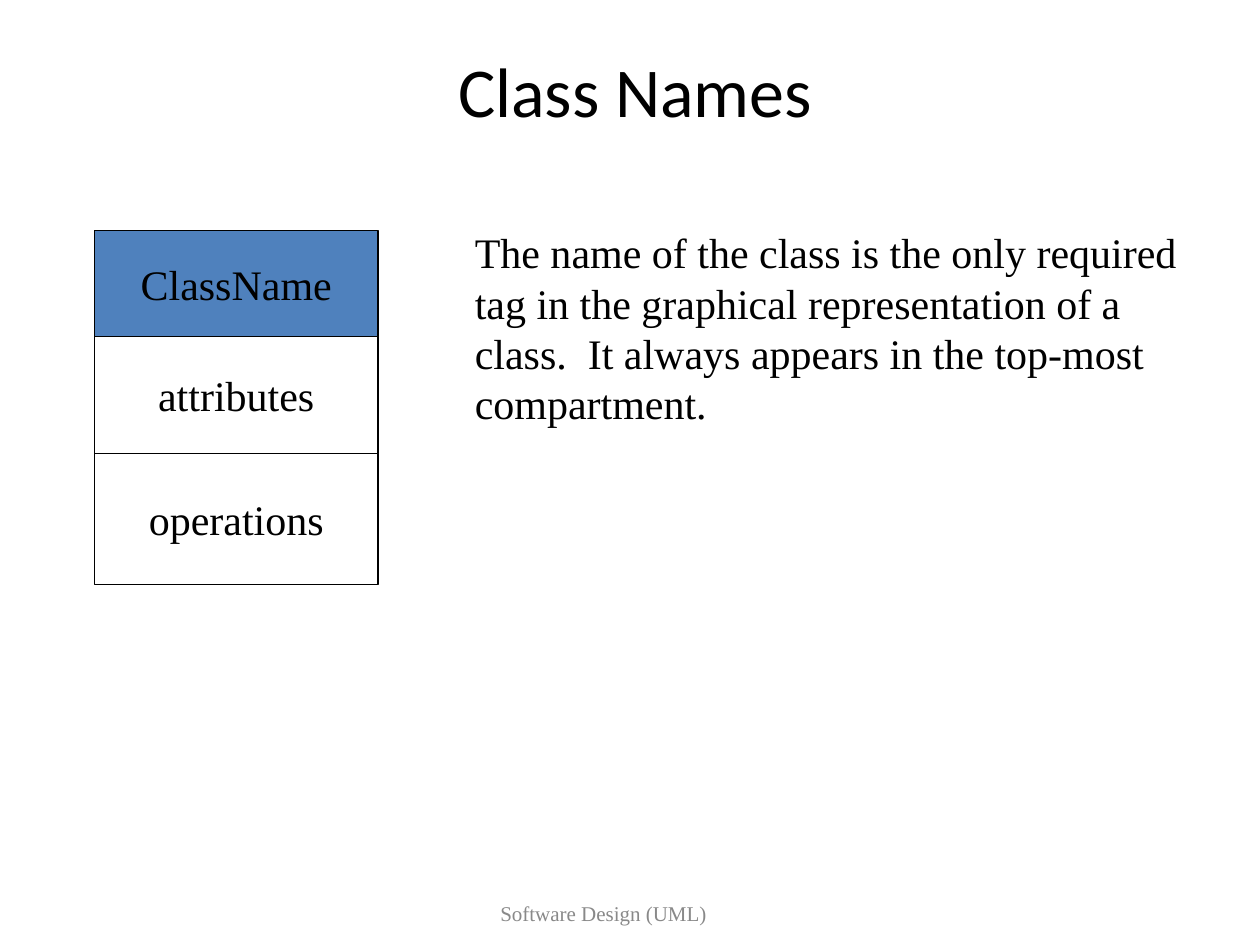
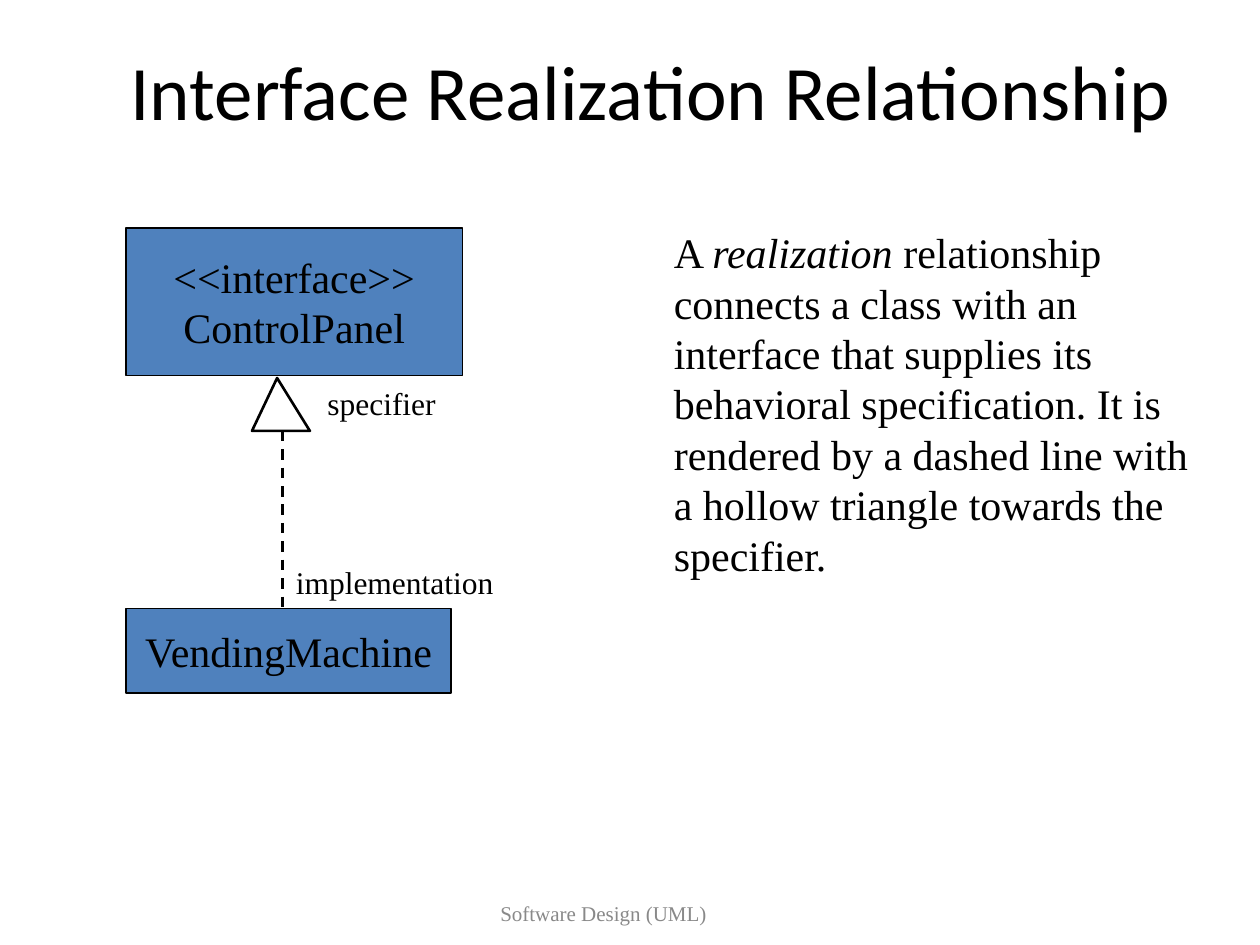
from typing import NamedTuple

from lxml.etree import SubElement
from pptx import Presentation
from pptx.dml.color import RGBColor
from pptx.enum.dml import MSO_LINE
from pptx.enum.shapes import MSO_CONNECTOR, MSO_SHAPE
from pptx.enum.text import MSO_ANCHOR, MSO_AUTO_SIZE, PP_ALIGN
from pptx.oxml.ns import qn
from pptx.util import Inches, Pt

BLACK = "000000"
WHITE = "FFFFFF"
BLUE = "4F81BD"
GREY = "898989"
TITLE_FONT = "Calibri"
BODY_FONT = "Times New Roman"
TITLE_ONLY = 5


class Area(NamedTuple):
    """Left, top, width and height in inches."""
    left: float
    top: float
    width: float
    height: float

    def lengths(self) -> list:
        return [Inches(value) for value in self]


class Span(NamedTuple):
    text: str
    italic: bool = False


class ClassBox(NamedTuple):
    area: Area
    lines: list[str]
    fill: str = BLUE


FOOTER_AREA = Area(2.58, 7, 4.42, 0.5)


def colour(value: str) -> RGBColor:
    return RGBColor.from_string(value)


def write(frame, paragraphs, size=24, font=BODY_FONT, ink=BLACK,
          align=PP_ALIGN.LEFT, anchor=MSO_ANCHOR.TOP, wrap=True, inset=True) -> None:
    """Fill a text frame; each paragraph is a string or a list of spans."""
    frame.auto_size = MSO_AUTO_SIZE.NONE
    frame.word_wrap = wrap
    frame.vertical_anchor = anchor
    frame.margin_left = frame.margin_right = Inches(0.1 if inset else 0)
    frame.margin_top = frame.margin_bottom = Inches(0.05 if inset else 0)
    for index, content in enumerate(paragraphs):
        para = frame.add_paragraph() if index else frame.paragraphs[0]
        para.alignment = align
        for span in [Span(content)] if isinstance(content, str) else content:
            run = para.add_run()
            run.text = span.text
            run.font.size = Pt(size)
            run.font.name = font
            run.font.italic = span.italic
            run.font.color.rgb = colour(ink)


def add_text(page, area: Area, paragraphs, **style) -> None:
    box = page.shapes.add_textbox(*area.lengths())
    write(box.text_frame, paragraphs, **style)


def add_page(deck, title: str, title_width: float, title_size: int):
    """Add a slide with its title and the shared footer."""
    page = deck.slides.add_slide(deck.slide_layouts[TITLE_ONLY])
    heading = page.shapes.title
    area = Area(0.75, 0.42, title_width, 0.58)
    heading.left, heading.top, heading.width, heading.height = area.lengths()
    centred = dict(align=PP_ALIGN.CENTER, anchor=MSO_ANCHOR.MIDDLE, inset=False)
    write(heading.text_frame, [title], size=title_size, font=TITLE_FONT, **centred)
    add_text(page, FOOTER_AREA, ["Software Design (UML)"], size=12, ink=GREY, **centred)
    return page


def paint(shape, fill: str, line_width: float) -> None:
    shape.shadow.inherit = False
    shape.fill.solid()
    shape.fill.fore_color.rgb = colour(fill)
    shape.line.color.rgb = colour(BLACK)
    shape.line.width = Pt(line_width)


def add_class_box(shapes, item: ClassBox) -> None:
    box = shapes.add_shape(MSO_SHAPE.RECTANGLE, *item.area.lengths())
    paint(box, item.fill, 0.75)
    write(box.text_frame, item.lines, align=PP_ALIGN.CENTER,
          anchor=MSO_ANCHOR.MIDDLE, wrap=False)


def add_realization_arrow(shapes) -> None:
    """Draw the dashed line and the hollow triangle at its upper end."""
    line_x, base_y, line_end = Inches(2.24), Inches(3.42), Inches(4.83)
    line = shapes.add_connector(MSO_CONNECTOR.STRAIGHT, line_x, base_y, line_x, line_end)
    line.line.color.rgb = colour(BLACK)
    line.line.width = Pt(1.5)
    line.line.dash_style = MSO_LINE.DASH
    SubElement(line._element.spPr, qn("a:effectLst"))

    outline = shapes.build_freeform(Inches(2.2), Inches(3))
    outline.add_line_segments([(Inches(2), base_y), (Inches(2.46), base_y)], close=True)
    paint(outline.convert_to_shape(), WHITE, 1.5)


def add_class_names(deck) -> None:
    page = add_page(deck, "Class Names", 8.58, 40)
    class_shapes = page.shapes.add_group_shape().shapes
    top = 1.83
    for name, height, fill in (("ClassName", 0.84, BLUE),
                               ("attributes", 0.93, WHITE),
                               ("operations", 1.04, WHITE)):
        add_class_box(class_shapes, ClassBox(Area(0.75, top, 2.25, height), [name], fill))
        top += height
    add_text(page, Area(3.67, 1.75, 6, 1.7), [
        "The name of the class is the only required tag in the graphical "
        "representation of a class.  It always appears in the top-most compartment."])


def add_interface_realization(deck) -> None:
    page = add_page(deck, "Interface Realization Relationship", 8.83, 44)
    for item in (ClassBox(Area(1, 1.81, 2.67, 1.17), ["<<interface>>", "ControlPanel"]),
                 ClassBox(Area(1, 4.83, 2.58, 0.67), ["VendingMachine"])):
        add_class_box(page.shapes, item)
    add_realization_arrow(page.shapes.add_group_shape().shapes)
    add_text(page, Area(5.25, 1.75, 4.33, 2.9), [[
        Span("A "),
        Span("realization", italic=True),
        Span(" relationship connects a class with an interface that supplies its "
             "behavioral specification. It is rendered by a dashed line with a "
             "hollow triangle towards the specifier.")]])
    for label, area in (("specifier", Area(2.5, 3, 1.08, 0.4)),
                        ("implementation", Area(2.25, 4.42, 1.83, 0.4))):
        add_text(page, area, [label], size=18)


def main() -> None:
    deck = Presentation()
    deck.slide_width, deck.slide_height = Inches(10), Inches(7.5)
    add_class_names(deck)
    add_interface_realization(deck)
    deck.save("out.pptx")


if __name__ == "__main__":
    main()
